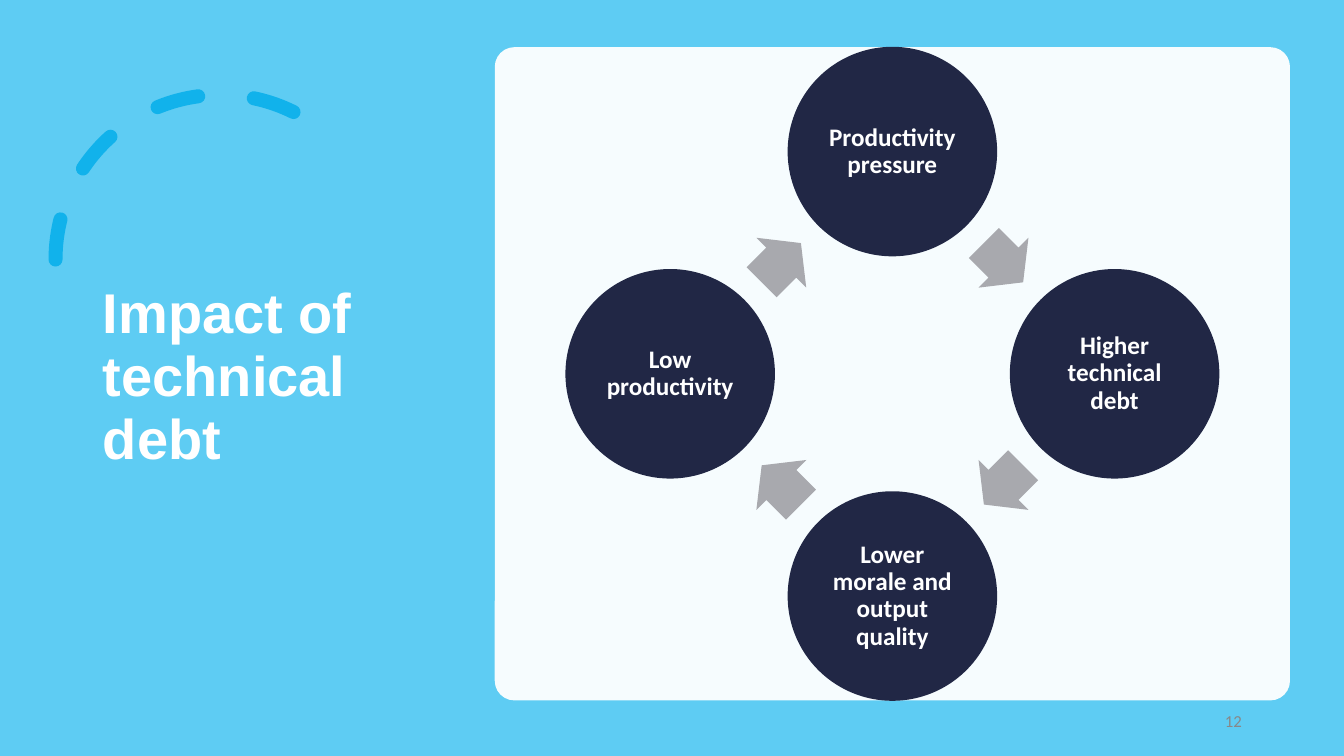
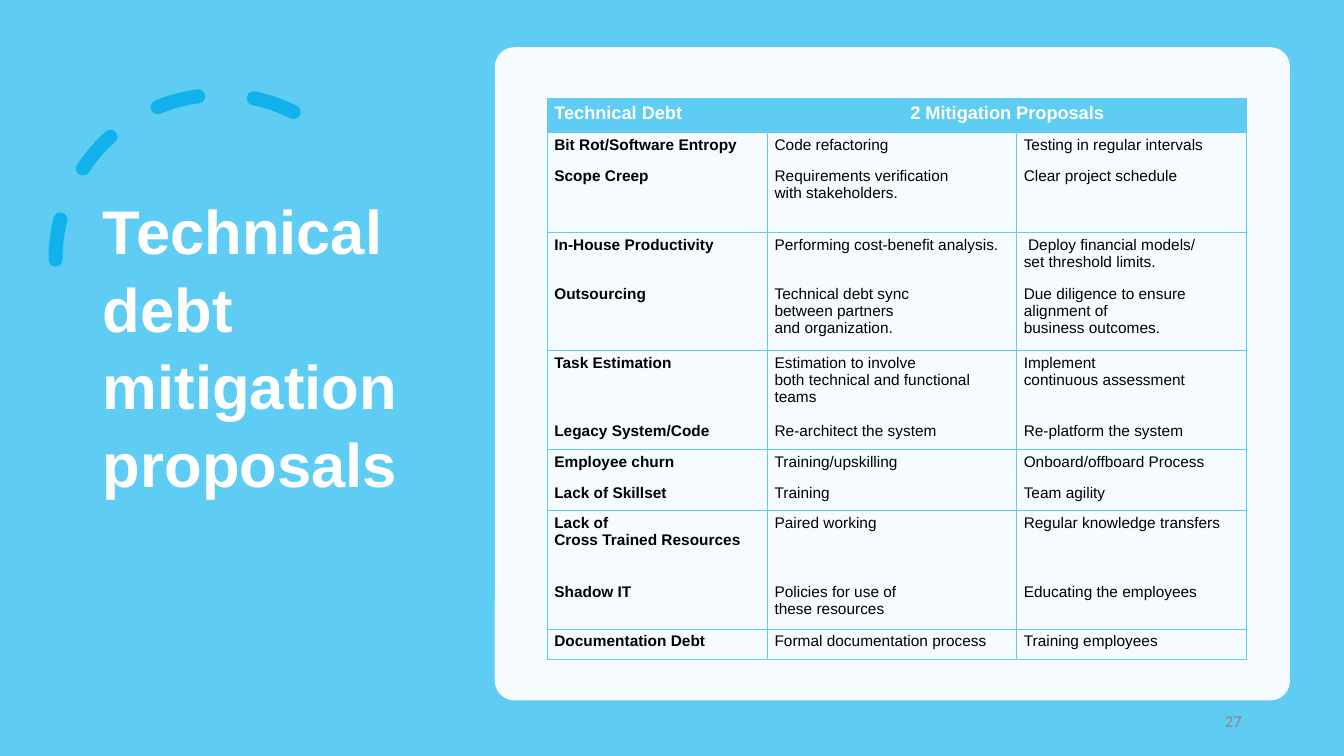
from dataclasses import dataclass
from math import cos, radians, sin

from lxml.etree import SubElement
from pptx import Presentation
from pptx.dml.color import RGBColor
from pptx.enum.dml import MSO_LINE
from pptx.enum.shapes import MSO_SHAPE
from pptx.enum.text import MSO_ANCHOR, MSO_AUTO_SIZE, PP_ALIGN
from pptx.oxml.ns import qn
from pptx.util import Cm, Pt

SKY = "5ECCF3"
BRIGHT_BLUE = "11B2EB"
NAVY = "212745"
ARROW_GRAY = "A8A9AE"
NUMBER_GRAY = "888888"
WHITE = "FFFFFF"
BLACK = "000000"
HEADING_FONT = "Arial"
BODY_FONT = "Calibri"


@dataclass
class Box:
    left: float
    top: float
    width: float
    height: float

    def lengths(self):
        return Cm(self.left), Cm(self.top), Cm(self.width), Cm(self.height)

    def center(self):
        return self.left + self.width / 2, self.top + self.height / 2


PANEL = Box(12.47, 1.19, 20.04, 16.46)
ARC = Box(1.4, 2.39, 8.3, 8.3)
NUMBER = Box(23.93, 17.65, 7.62, 1.02)

STAGES = [
    "Productivity pressure",
    "Higher technical debt",
    "Lower morale and output quality",
    "Low productivity",
]

COLUMN_WIDTHS = [5.55, 6.28, 5.8]
HEADER = ["Technical Debt", "2 Mitigation Proposals", ""]
HEADER_HEIGHT = 0.86
PROPOSALS = [
    (0.77, "Bit Rot/Software Entropy", "Code refactoring", "Testing in regular intervals"),
    (1.73, "Scope Creep", "Requirements verification|with stakeholders.", "Clear project schedule"),
    (1.25, "In-House Productivity", "Performing cost-benefit analysis.",
     " Deploy financial models/|set threshold limits."),
    (1.73, "Outsourcing", "Technical debt sync|between partners|and organization.",
     "Due diligence to ensure|alignment of|business outcomes."),
    (1.73, "Task Estimation", "Estimation to involve|both technical and functional|teams",
     "Implement|continuous assessment"),
    (0.77, "Legacy System/Code", "Re-architect the system", "Re-platform the system"),
    (0.77, "Employee churn", "Training/upskilling", "Onboard/offboard Process"),
    (0.77, "Lack of Skillset", "Training", "Team agility"),
    (1.73, "Lack of|Cross Trained Resources", "Paired working", "Regular knowledge transfers"),
    (1.25, "Shadow IT", "Policies for use of|these resources", "Educating the employees"),
    (0.77, "Documentation Debt", "Formal documentation process", "Training employees"),
]


def color(value):
    return RGBColor.from_string(value)


def write(para, text, font, size, fill, bold=False, align=PP_ALIGN.LEFT):
    para.alignment = align
    for index, line in enumerate(text.split("|")):
        if index:
            para.add_line_break()
        span = para.add_run()
        span.text = line
        span.font.name = font
        span.font.size = Pt(size)
        span.font.bold = bold
        span.font.color.rgb = color(fill)


def add_filled(page, kind, box, fill):
    shape = page.shapes.add_shape(kind, *box.lengths())
    shape.shadow.inherit = False
    shape.fill.solid()
    shape.fill.fore_color.rgb = color(fill)
    shape.line.fill.background()
    return shape


def add_arc(page, box):
    arc = page.shapes.add_shape(MSO_SHAPE.ARC, *box.lengths())
    arc.shadow.inherit = False
    arc.adjustments[0] = 146.13
    arc.adjustments[1] = 0
    arc.fill.background()
    arc.line.color.rgb = color(BRIGHT_BLUE)
    arc.line.width = Pt(10)
    arc.line.dash_style = MSO_LINE.DASH
    properties = arc.element.spPr
    properties.find(qn("a:ln")).set("cap", "rnd")
    properties.find(qn("a:xfrm")).set("flipH", "1")


def add_panel(page, box):
    panel = add_filled(page, MSO_SHAPE.ROUNDED_RECTANGLE, box, WHITE)
    panel.adjustments[0] = 0.03
    tone = panel.element.spPr.find(qn("a:solidFill"))[0]
    SubElement(tone, qn("a:alpha")).set("val", "95000")


def add_number(page, box, number):
    frame = page.shapes.add_textbox(*box.lengths()).text_frame
    frame.word_wrap = True
    frame.vertical_anchor = MSO_ANCHOR.MIDDLE
    write(frame.paragraphs[0], str(number), BODY_FONT, 12, NUMBER_GRAY, align=PP_ALIGN.RIGHT)


def place_title(page, box, text, size, spacing):
    title = page.shapes.title
    title.left, title.top, title.width, title.height = box.lengths()
    frame = title.text_frame
    frame.word_wrap = True
    frame.auto_size = MSO_AUTO_SIZE.NONE
    frame.vertical_anchor = MSO_ANCHOR.MIDDLE
    para = frame.paragraphs[0]
    para.line_spacing = spacing
    write(para, text, HEADING_FONT, size, WHITE, bold=True)


def add_page(deck, number, title, title_box, size, spacing):
    page = deck.slides.add_slide(deck.slide_layouts[5])
    add_arc(page, ARC)
    place_title(page, title_box, title, size, spacing)
    add_panel(page, PANEL)
    add_number(page, NUMBER, number)
    return page


def add_cycle(page, box):
    diameter, ring = 5.28, 5.6
    arrow_width, arrow_height = 1.4, 1.78
    center_x, center_y = box.center()
    step = 360 / len(STAGES)
    arrow_ring = ring * cos(radians(step / 2))

    def around(angle, radius, width, height):
        x = center_x + radius * sin(radians(angle))
        y = center_y - radius * cos(radians(angle))
        return Box(x - width / 2, y - height / 2, width, height)

    for index, stage in enumerate(STAGES):
        angle = index * step
        circle = add_filled(page, MSO_SHAPE.OVAL, around(angle, ring, diameter, diameter), NAVY)
        frame = circle.text_frame
        frame.word_wrap = True
        frame.vertical_anchor = MSO_ANCHOR.MIDDLE
        frame.margin_left = frame.margin_right = Cm(0.15)
        frame.margin_top = frame.margin_bottom = Cm(0.05)
        para = frame.paragraphs[0]
        para.line_spacing = 0.9
        write(para, stage, BODY_FONT, 18, WHITE, bold=True, align=PP_ALIGN.CENTER)

        middle = angle + step / 2
        arrow_box = around(middle, arrow_ring, arrow_width, arrow_height)
        arrow = add_filled(page, MSO_SHAPE.RIGHT_ARROW, arrow_box, ARROW_GRAY)
        arrow.adjustments[0] = 0.6
        arrow.adjustments[1] = 0.5
        arrow.rotation = middle


def border_cell(cell, ruled):
    properties = cell._tc.get_or_add_tcPr()
    for side in "LRTB":
        line = SubElement(properties, qn("a:ln" + side))
        if side in ruled:
            line.set("w", str(Pt(0.75)))
            fill = SubElement(line, qn("a:solidFill"))
            SubElement(fill, qn("a:srgbClr")).set("val", SKY)
        else:
            SubElement(line, qn("a:noFill"))


def add_proposals(page, box):
    heights = [HEADER_HEIGHT] + [row[0] for row in PROPOSALS]
    texts = [HEADER] + [row[1:] for row in PROPOSALS]
    count = len(texts)
    table_box = Box(box.left + 1.32, box.top + 1.3, sum(COLUMN_WIDTHS), sum(heights))
    table = page.shapes.add_table(count, len(COLUMN_WIDTHS), *table_box.lengths()).table
    table.first_row = False
    table.horz_banding = False
    for column, width in zip(table.columns, COLUMN_WIDTHS):
        column.width = Cm(width)
    for row, height in zip(table.rows, heights):
        row.height = Cm(height)
    table.cell(0, 1).merge(table.cell(0, 2))

    def has_rule(edge):
        return edge in (0, count) or edge % 2 == 1

    for row_index, row_texts in enumerate(texts):
        ruled = "LR" + "T" * has_rule(row_index) + "B" * has_rule(row_index + 1)
        for column_index, text in enumerate(row_texts):
            cell = table.cell(row_index, column_index)
            cell.margin_left = cell.margin_right = Cm(0.18)
            cell.margin_top = cell.margin_bottom = Cm(0.1)
            border_cell(cell, ruled)
            para = cell.text_frame.paragraphs[0]
            if row_index == 0:
                cell.fill.solid()
                cell.fill.fore_color.rgb = color(SKY)
                align = PP_ALIGN.CENTER if column_index else PP_ALIGN.LEFT
                if text:
                    write(para, text, HEADING_FONT, 13, WHITE, bold=True, align=align)
            else:
                cell.fill.background()
                write(para, text, HEADING_FONT, 11, BLACK, bold=column_index == 0)


def main():
    deck = Presentation()
    deck.slide_width, deck.slide_height = Cm(33.87), Cm(19.05)
    background = deck.slide_master.background.fill
    background.solid()
    background.fore_color.rgb = color(SKY)

    impact = add_page(deck, 12, "Impact of technical debt", Box(2.34, 1.78, 8.2, 15.47), 40, 0.94)
    add_cycle(impact, PANEL)

    mitigation = add_page(deck, 27, "Technical debt mitigation proposals",
                          Box(2.34, 1.78, 8.28, 13.8), 44, 1.05)
    add_proposals(mitigation, PANEL)

    deck.save("out.pptx")


if __name__ == "__main__":
    main()
